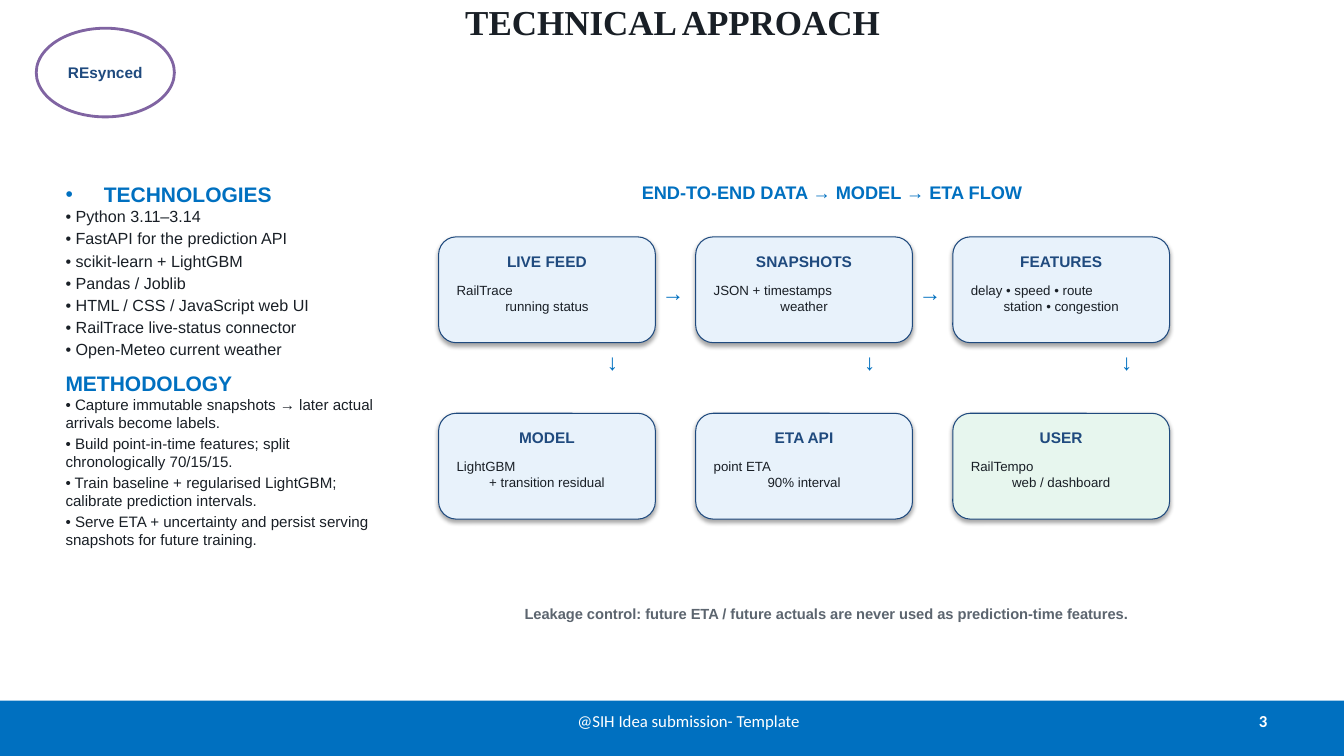
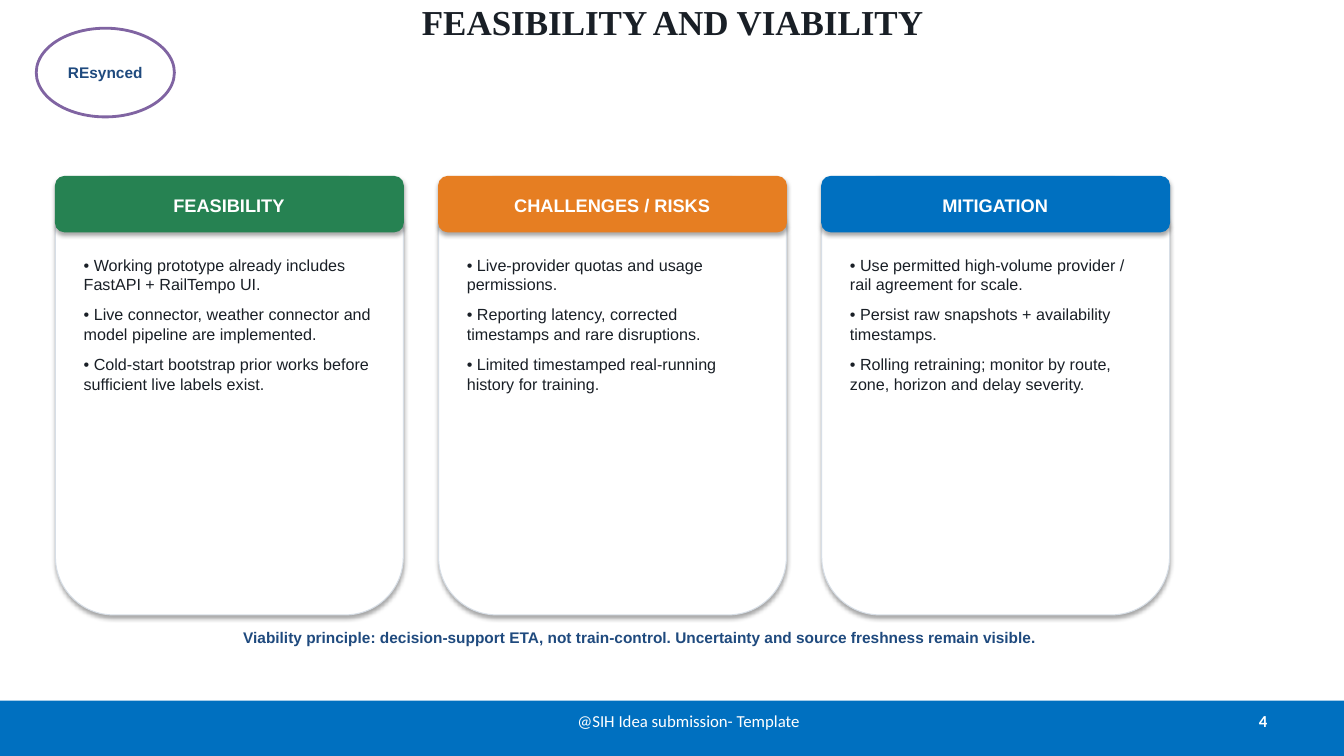
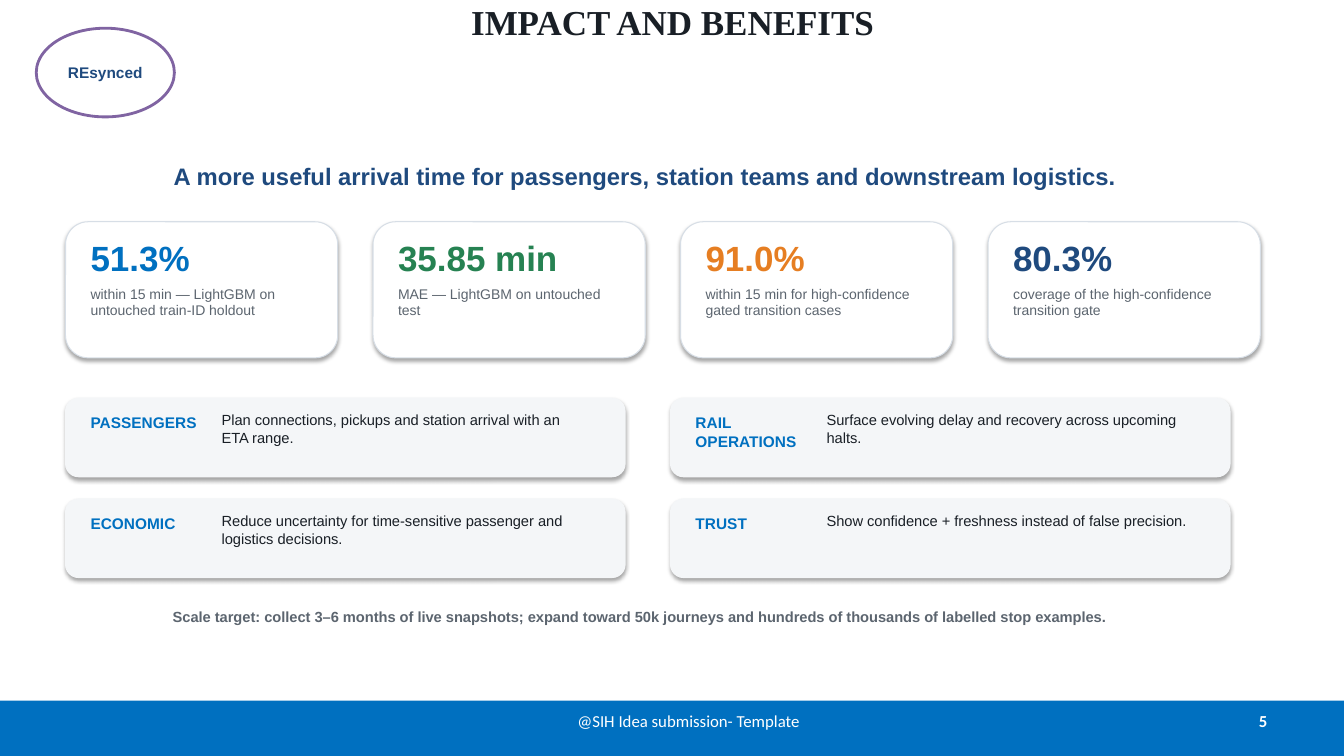
"""Build three project slides: technical approach, feasibility, and impact."""
from dataclasses import dataclass, replace

from lxml import etree
from pptx import Presentation
from pptx.dml.color import RGBColor
from pptx.enum.shapes import MSO_SHAPE
from pptx.enum.text import MSO_ANCHOR, MSO_AUTO_SIZE, PP_ALIGN
from pptx.oxml.ns import qn
from pptx.util import Inches, Pt

RECTANGLE, ROUNDED, OVAL = MSO_SHAPE.RECTANGLE, MSO_SHAPE.ROUNDED_RECTANGLE, MSO_SHAPE.OVAL
LEFT, CENTER, RIGHT, JUSTIFY = PP_ALIGN.LEFT, PP_ALIGN.CENTER, PP_ALIGN.RIGHT, PP_ALIGN.JUSTIFY
TOP, MIDDLE = MSO_ANCHOR.TOP, MSO_ANCHOR.MIDDLE
FIXED_SIZE = MSO_AUTO_SIZE.NONE
LIST_LAYOUT, COLUMNS_LAYOUT, TITLE_LAYOUT = 1, 4, 5

COLORS = {
    "white": "FFFFFF", "ink": "191F26", "blue": "0070C0", "navy": "1F4A7E",
    "green": "268252", "orange": "E67E22", "purple": "8064A2", "gray": "5C656F",
    "border": "D7DEE6", "panel": "F4F6F8", "pale_blue": "E8F2FB",
    "pale_green": "E7F6EE", "black": "000000", "band_shadow": "808080",
}


@dataclass(frozen=True)
class Box:
    left: float
    top: float
    width: float
    height: float


@dataclass(frozen=True)
class Style:
    size: float
    color: str = "ink"
    bold: bool = False
    align: PP_ALIGN = LEFT
    font: str = "Arial"
    before: float = 0
    after: float = 0
    hanging: float = 0


@dataclass(frozen=True)
class Line:
    text: str
    style: Style


@dataclass(frozen=True)
class Step:
    heading: str
    first: str
    second: str
    fill: str = "pale_blue"


@dataclass(frozen=True)
class Column:
    heading: str
    color: str
    points: tuple[str, ...]


@dataclass(frozen=True)
class Metric:
    value: str
    color: str
    caption: str


@dataclass(frozen=True)
class Benefit:
    heading: str
    detail: str


TITLE = Style(25, bold=True, align=CENTER, font="Times New Roman")
FOOTER = Style(12, "white", align=CENTER, font="Calibri")
PAGE_NUMBER = replace(FOOTER, bold=True, align=RIGHT)
SECTION = Style(15, "blue", bold=True)
LABEL = Style(11, "navy", bold=True, align=CENTER)
HEADING = Style(13, "blue", bold=True, align=CENTER)
ARROW = Style(16, "blue", bold=True, align=CENTER)
NOTE = Style(10.5, "gray", bold=True, align=CENTER)
HEADLINE = Style(17, "navy", bold=True, align=CENTER)
STEP_TEXT = Style(9.5)
TECHNOLOGY = Style(11.5, after=2)
METHOD = Style(10.8, after=2)
POINT = Style(11.5, after=8)
METRIC_VALUE = Style(25, bold=True)
CAPTION = Style(10, "gray")
BENEFIT_LABEL = Style(11, "blue", bold=True)
BENEFIT_TEXT = Style(10.5)

TECHNOLOGIES = (
    "Python 3.11–3.14",
    "FastAPI for the prediction API",
    "scikit-learn + LightGBM",
    "Pandas / Joblib",
    "HTML / CSS / JavaScript web UI",
    "RailTrace live-status connector",
    "Open-Meteo current weather",
)
METHODS = (
    "Capture immutable snapshots → later actual arrivals become labels.",
    "Build point-in-time features; split chronologically 70/15/15.",
    "Train baseline + regularised LightGBM; calibrate prediction intervals.",
    "Serve ETA + uncertainty and persist serving snapshots for future training.",
)
STEPS = (
    Step("LIVE FEED", "RailTrace", "running status"),
    Step("SNAPSHOTS", "JSON + timestamps", "weather"),
    Step("FEATURES", "delay • speed • route", "station • congestion"),
    Step("MODEL", "LightGBM", "+ transition residual"),
    Step("ETA API", "point ETA", "90% interval"),
    Step("USER", "RailTempo", "web / dashboard", "pale_green"),
)
COLUMNS = (
    Column("FEASIBILITY", "green", (
        "Working prototype already includes FastAPI + RailTempo UI.",
        "Live connector, weather connector and model pipeline are implemented.",
        "Cold-start bootstrap prior works before sufficient live labels exist.",
    )),
    Column("CHALLENGES / RISKS", "orange", (
        "Live-provider quotas and usage permissions.",
        "Reporting latency, corrected timestamps and rare disruptions.",
        "Limited timestamped real-running history for training.",
    )),
    Column("MITIGATION", "blue", (
        "Use permitted high-volume provider / rail agreement for scale.",
        "Persist raw snapshots + availability timestamps.",
        "Rolling retraining; monitor by route, zone, horizon and delay severity.",
    )),
)
METRICS = (
    Metric("51.3%", "blue", "within 15 min — LightGBM on untouched train-ID holdout"),
    Metric("35.85 min", "green", "MAE — LightGBM on untouched test"),
    Metric("91.0%", "orange", "within 15 min for high-confidence gated transition cases"),
    Metric("80.3%", "navy", "coverage of the high-confidence transition gate"),
)
BENEFITS = (
    Benefit("PASSENGERS", "Plan connections, pickups and station arrival with an ETA range."),
    Benefit("RAIL OPERATIONS", "Surface evolving delay and recovery across upcoming halts."),
    Benefit("ECONOMIC", "Reduce uncertainty for time-sensitive passenger and logistics decisions."),
    Benefit("TRUST", "Show confidence + freshness instead of false precision."),
)


def rgb(name: str) -> RGBColor:
    return RGBColor.from_string(COLORS[name])


def lengths(box: Box) -> tuple:
    return tuple(Inches(value) for value in (box.left, box.top, box.width, box.height))


def bulleted(texts: tuple[str, ...], style: Style) -> list[Line]:
    return [Line(f"• {text}", style) for text in texts]


def set_bullet(paragraph, hanging: float) -> None:
    properties = paragraph._p.get_or_add_pPr()
    properties.set("marL", str(Inches(hanging)))
    properties.set("indent", str(-Inches(hanging)))
    if hanging:
        etree.SubElement(properties, qn("a:buChar")).set("char", "•")
    else:
        etree.SubElement(properties, qn("a:buNone"))


def write_lines(shape, lines: list[Line], anchor=TOP, wrap: bool = True) -> None:
    frame = shape.text_frame
    frame.word_wrap = wrap
    frame.auto_size = FIXED_SIZE
    frame.vertical_anchor = anchor
    for index, line in enumerate(lines):
        paragraph = frame.add_paragraph() if index else frame.paragraphs[0]
        style = line.style
        set_bullet(paragraph, style.hanging)
        paragraph.alignment = style.align
        paragraph.space_before = Pt(style.before)
        paragraph.space_after = Pt(style.after)
        run = paragraph.add_run()
        run.text = line.text
        run.font.name = style.font
        run.font.size = Pt(style.size)
        run.font.bold = style.bold
        run.font.color.rgb = rgb(style.color)


def add_text(slide, box: Box, text: str, style: Style, anchor=TOP) -> None:
    write_lines(slide.shapes.add_textbox(*lengths(box)), [Line(text, style)], anchor)


def fill_placeholder(placeholder, box: Box, lines: list[Line]) -> None:
    placeholder.left, placeholder.top, placeholder.width, placeholder.height = lengths(box)
    write_lines(placeholder, lines)


def add_panel(slide, kind, box: Box, fill: str, line: str = "", line_width: float = 0.75):
    shape = slide.shapes.add_shape(kind, *lengths(box))
    shape.shadow.inherit = False
    shape.fill.solid()
    shape.fill.fore_color.rgb = rgb(fill)
    if line:
        shape.line.color.rgb = rgb(line)
        shape.line.width = Pt(line_width)
    else:
        shape.line.fill.background()
    return shape


def add_shadow(shape, color: str = "black", blur: float = 3.1) -> None:
    effects = shape.element.spPr.find(qn("a:effectLst"))
    shadow = etree.SubElement(effects, qn("a:outerShdw"), blurRad=str(Pt(blur)),
                              dist=str(Pt(1.8)), dir="5400000", rotWithShape="0")
    shade = etree.SubElement(shadow, qn("a:srgbClr"), val=COLORS[color])
    etree.SubElement(shade, qn("a:alpha"), val="35000")


def add_card(slide, box: Box, fill: str, line: str) -> None:
    add_shadow(add_panel(slide, ROUNDED, box, fill, line))


def add_slide(presentation, layout: int, title: str, number: int):
    slide = presentation.slides.add_slide(presentation.slide_layouts[layout])
    fill_placeholder(slide.shapes.title, Box(0.67, -0.05, 12, 1.25), [Line(title, TITLE)])
    band = add_panel(slide, RECTANGLE, Box(0, 6.95, 13.33, 0.55), "blue")
    add_shadow(band, "band_shadow", 0)
    add_text(slide, Box(9.56, 6.95, 3.11, 0.4), str(number), PAGE_NUMBER, MIDDLE)
    add_text(slide, Box(5.08, 6.95, 3.5, 0.4), "@SIH Idea submission- Template", FOOTER, MIDDLE)
    badge = add_panel(slide, OVAL, Box(0.36, 0.28, 1.37, 0.88), "white", "purple", 2)
    write_lines(badge, [Line("REsynced", LABEL)], MIDDLE, wrap=False)
    return slide


def add_step(slide, step: Step, left: float, top: float) -> None:
    add_card(slide, Box(left, top, 2.15, 1.05), step.fill, "navy")
    add_text(slide, Box(left + 0.08, top + 0.1, 1.99, 0.25), step.heading, LABEL)
    detail = slide.shapes.add_textbox(*lengths(Box(left + 0.08, top + 0.4, 1.99, 0.48)))
    write_lines(detail, [Line(step.first, STEP_TEXT),
                         Line(step.second, replace(STEP_TEXT, align=CENTER))])


def build_approach(presentation) -> None:
    slide = add_slide(presentation, LIST_LAYOUT, "TECHNICAL APPROACH", 3)
    lines = [
        Line("TECHNOLOGIES", replace(SECTION, align=JUSTIFY, hanging=0.38)),
        *bulleted(TECHNOLOGIES, TECHNOLOGY),
        Line("METHODOLOGY", replace(SECTION, before=6)),
        *bulleted(METHODS, METHOD),
    ]
    fill_placeholder(slide.placeholders[1], Box(0.55, 1.75, 3.45, 4.35), lines)
    add_text(slide, Box(4.35, 1.75, 7.8, 0.35), "END-TO-END DATA → MODEL → ETA FLOW", HEADING)
    pitch = 2.55
    for index, step in enumerate(STEPS):
        row, column = divmod(index, 3)
        add_step(slide, step, 4.35 + column * pitch, 2.35 + row * 1.75)
    for column in range(2):
        add_text(slide, Box(6.45 + column * pitch, 2.72, 0.45, 0.3), "→", ARROW)
    for column in range(3):
        add_text(slide, Box(5.9 + column * pitch, 3.4, 0.35, 0.3), "↓", ARROW)
    add_text(slide, Box(4.35, 5.95, 7.7, 0.35),
             "Leakage control: future ETA / future actuals are never used as "
             "prediction-time features.", NOTE)


def build_feasibility(presentation) -> None:
    slide = add_slide(presentation, COLUMNS_LAYOUT, "FEASIBILITY AND VIABILITY", 4)
    *bodies, spare = list(slide.placeholders)[1:]
    spare.element.getparent().remove(spare.element)
    for index, (column, body) in enumerate(zip(COLUMNS, bodies)):
        left = 0.55 + index * 3.8
        add_card(slide, Box(left, 1.75, 3.45, 4.35), "white", "border")
        add_card(slide, Box(left, 1.75, 3.45, 0.55), column.color, column.color)
        add_text(slide, Box(left + 0.12, 1.88, 3.2, 0.25), column.heading,
                 replace(HEADING, color="white"))
        fill_placeholder(body, Box(left + 0.18, 2.48, 3.05, 3.2), bulleted(column.points, POINT))
        body.element.getparent().append(body.element)
    add_text(slide, Box(0.75, 6.18, 11.2, 0.3),
             "Viability principle: decision-support ETA, not train-control. "
             "Uncertainty and source freshness remain visible.", LABEL)


def build_impact(presentation) -> None:
    slide = add_slide(presentation, TITLE_LAYOUT, "IMPACT AND BENEFITS", 5)
    add_text(slide, Box(0.65, 1.55, 11.5, 0.45),
             "A more useful arrival time for passengers, station teams and "
             "downstream logistics.", HEADLINE)
    for index, metric in enumerate(METRICS):
        left = 0.65 + index * 3.05
        add_card(slide, Box(left, 2.2, 2.7, 1.35), "white", "border")
        add_text(slide, Box(left + 0.15, 2.3, 2.4, 0.45), metric.value,
                 replace(METRIC_VALUE, color=metric.color))
        add_text(slide, Box(left + 0.15, 2.78, 2.4, 0.7), metric.caption, CAPTION)
    for index, benefit in enumerate(BENEFITS):
        row, column = divmod(index, 2)
        left, top = 0.65 + column * 6, 3.95 + row
        add_card(slide, Box(left, top, 5.55, 0.78), "panel", "panel")
        add_text(slide, Box(left + 0.15, top + 0.1, 1.4, 0.25), benefit.heading, BENEFIT_LABEL)
        add_text(slide, Box(left + 1.45, top + 0.08, 3.85, 0.55), benefit.detail, BENEFIT_TEXT)
    add_text(slide, Box(0.75, 5.98, 11.2, 0.35),
             "Scale target: collect 3–6 months of live snapshots; expand toward 50k "
             "journeys and hundreds of thousands of labelled stop examples.", NOTE)


def main() -> None:
    presentation = Presentation()
    presentation.slide_width = Inches(13.33)
    presentation.slide_height = Inches(7.5)
    build_approach(presentation)
    build_feasibility(presentation)
    build_impact(presentation)
    presentation.save("out.pptx")


if __name__ == "__main__":
    main()
